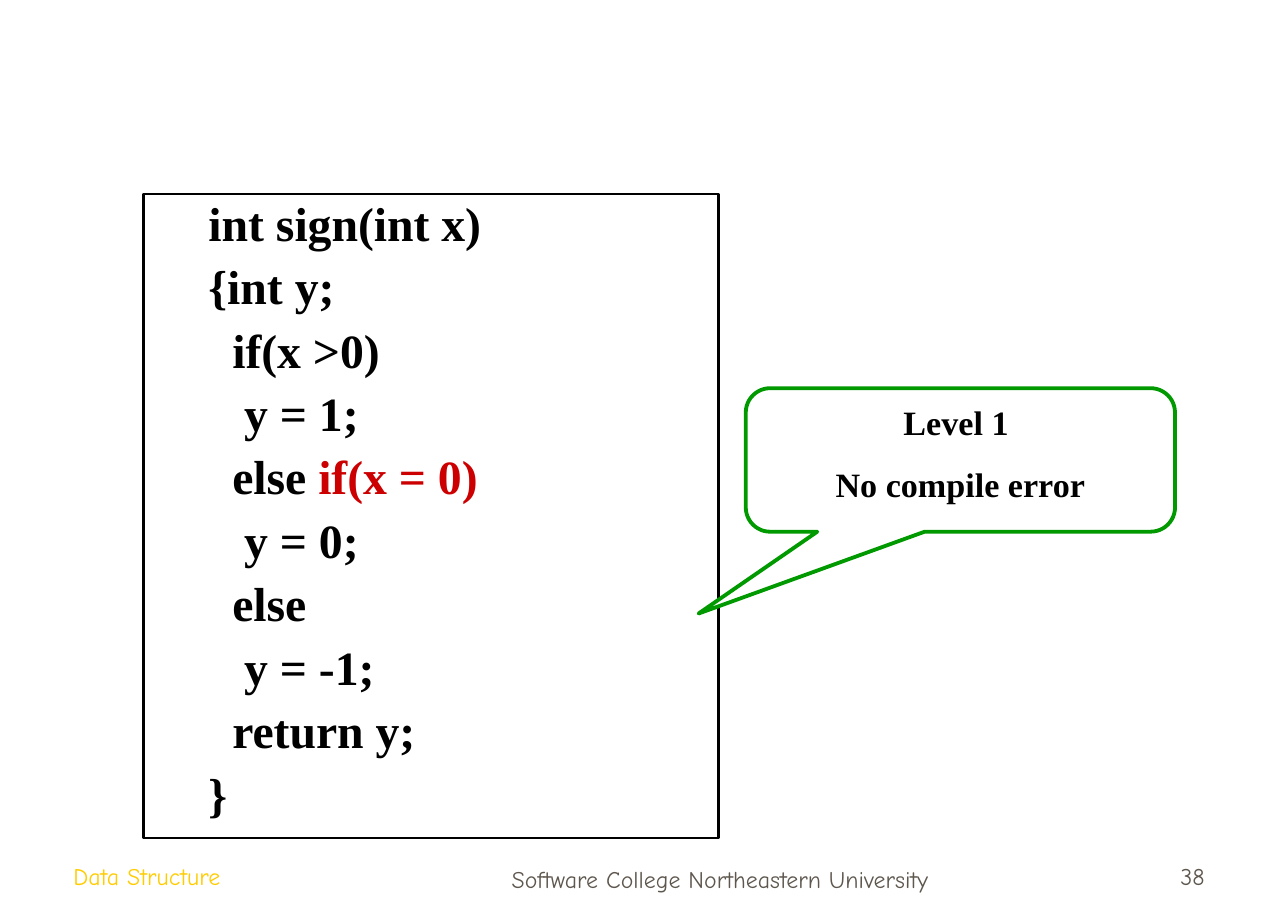
from typing import NamedTuple

from pptx import Presentation
from pptx.dml.color import RGBColor
from pptx.enum.shapes import MSO_SHAPE as Kind
from pptx.enum.text import MSO_ANCHOR as Anchor, PP_ALIGN as Align
from pptx.util import Inches, Pt

WIDE, HIGH = 10.5, 7.5
BLACK = RGBColor(0x00, 0x00, 0x00)
WHITE = RGBColor(0xFF, 0xFF, 0xFF)
RED = RGBColor(0xCC, 0x00, 0x00)
GREEN = RGBColor(0x00, 0x99, 0x00)
GOLD = RGBColor(0xFF, 0xCC, 0x00)
GREY = RGBColor(0x5E, 0x57, 0x4E)
SERIF, COMIC = "Times New Roman", "Comic Neue"


class Area(NamedTuple):
    """Left, top, width and height in percent of the slide."""
    left: float
    top: float
    width: float
    height: float


class Foot(NamedTuple):
    text: str
    area: Area
    color: RGBColor
    align: Align


class Panel(NamedTuple):
    kind: Kind
    area: Area
    color: RGBColor
    weight: float


# Content
FEET = [
    Foot("Data Structure", Area(4.76, 90.8, 20.86, 6.67), GOLD, Align.LEFT),
    Foot("Software College Northeastern University",
         Area(34.1, 91.07, 43.62, 6.67), GREY, Align.CENTER),
    Foot("38", Area(73.62, 90.8, 20.86, 6.67), GREY, Align.RIGHT),
]
CODE = [
    "int sign(int x)",
    "{int y;",
    "  if(x >0)",
    "   y = 1;",
    [("  else ", BLACK), ("if(x = 0)", RED)],
    "   y = 0;",
    "  else",
    "   y = -1;",
    "  return y;",
    "}",
]
NOTE = ["Level 1 ", "No compile error"]
BOX = Panel(Kind.RECTANGLE, Area(11.14, 21.07, 44.67, 70), BLACK, 1.5)
BUBBLE = Panel(Kind.ROUNDED_RECTANGULAR_CALLOUT,
               Area(57.9, 42.2, 33.33, 15.6), GREEN, 2.25)


def place(area: Area) -> list:
    """Turn percentages into slide lengths."""
    return [Inches(part * side / 100)
            for part, side in zip(area, (WIDE, HIGH) * 2)]


def write(shape, lines: list, *, font: str = SERIF, size: float = 20,
          color: RGBColor = BLACK, bold: bool = False,
          align: Align = Align.LEFT, anchor: Anchor = Anchor.TOP,
          inset: tuple = (0.1, 0.05, 0.1, 0.05),
          gap: float = 0, pitch: float = 1) -> None:
    """Fill a shape with lines; a line is a string or (text, colour) parts."""
    frame = shape.text_frame
    frame.word_wrap = True
    frame.vertical_anchor = anchor
    (frame.margin_left, frame.margin_top,
     frame.margin_right, frame.margin_bottom) = map(Inches, inset)
    for row, line in enumerate(lines):
        para = frame.add_paragraph() if row else frame.paragraphs[0]
        para.alignment = align
        para.line_spacing = pitch
        para.space_before = Pt(gap if row else 0)
        for text, tint in [(line, color)] if isinstance(line, str) else line:
            run = para.add_run()
            run.text = text
            run.font.name, run.font.size = font, Pt(size)
            run.font.bold = bold
            run.font.color.rgb = tint


def draw(slide, panel: Panel):
    """Add a white outlined shape."""
    shape = slide.shapes.add_shape(panel.kind, *place(panel.area))
    shape.shadow.inherit = False
    shape.fill.solid()
    shape.fill.fore_color.rgb = WHITE
    shape.line.color.rgb = panel.color
    shape.line.width = Pt(panel.weight)
    return shape


def main() -> None:
    deck = Presentation()
    deck.slide_width, deck.slide_height = Inches(WIDE), Inches(HIGH)
    slide = deck.slides.add_slide(deck.slide_layouts[6])

    # Footer
    for foot in FEET:
        label = slide.shapes.add_textbox(*place(foot.area))
        write(label, [foot.text], font=COMIC, size=14, color=foot.color,
              align=foot.align, anchor=Anchor.BOTTOM)

    # Code listing
    write(draw(slide, BOX), CODE, size=28, bold=True, gap=7, pitch=0.9,
          inset=(0.53, 0.05, 0.3, 0.05))

    # Callout with its tip on the listing
    bubble = draw(slide, BUBBLE)
    for spot, value in enumerate((-0.61, 1.07, 0.17)):
        bubble.adjustments[spot] = value
    write(bubble, NOTE, bold=True, align=Align.CENTER, gap=12.5)

    deck.save("out.pptx")


if __name__ == "__main__":
    main()
